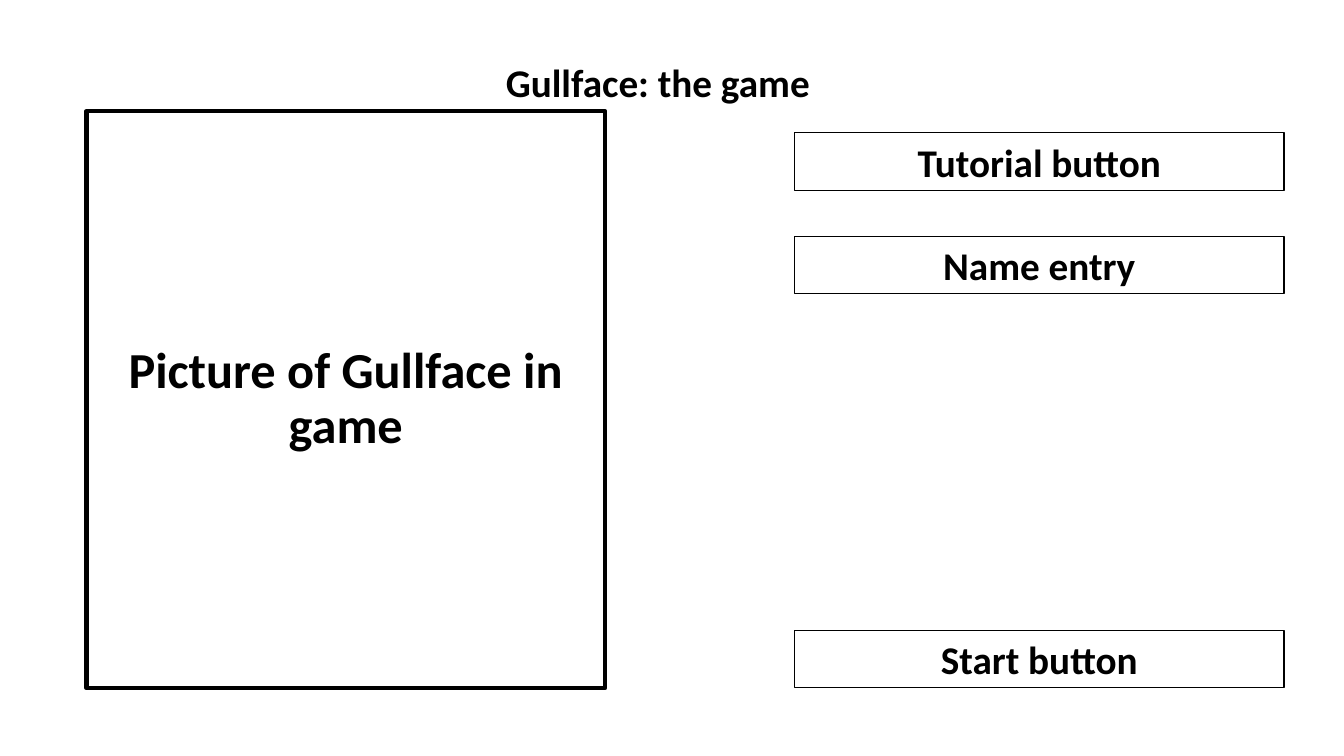
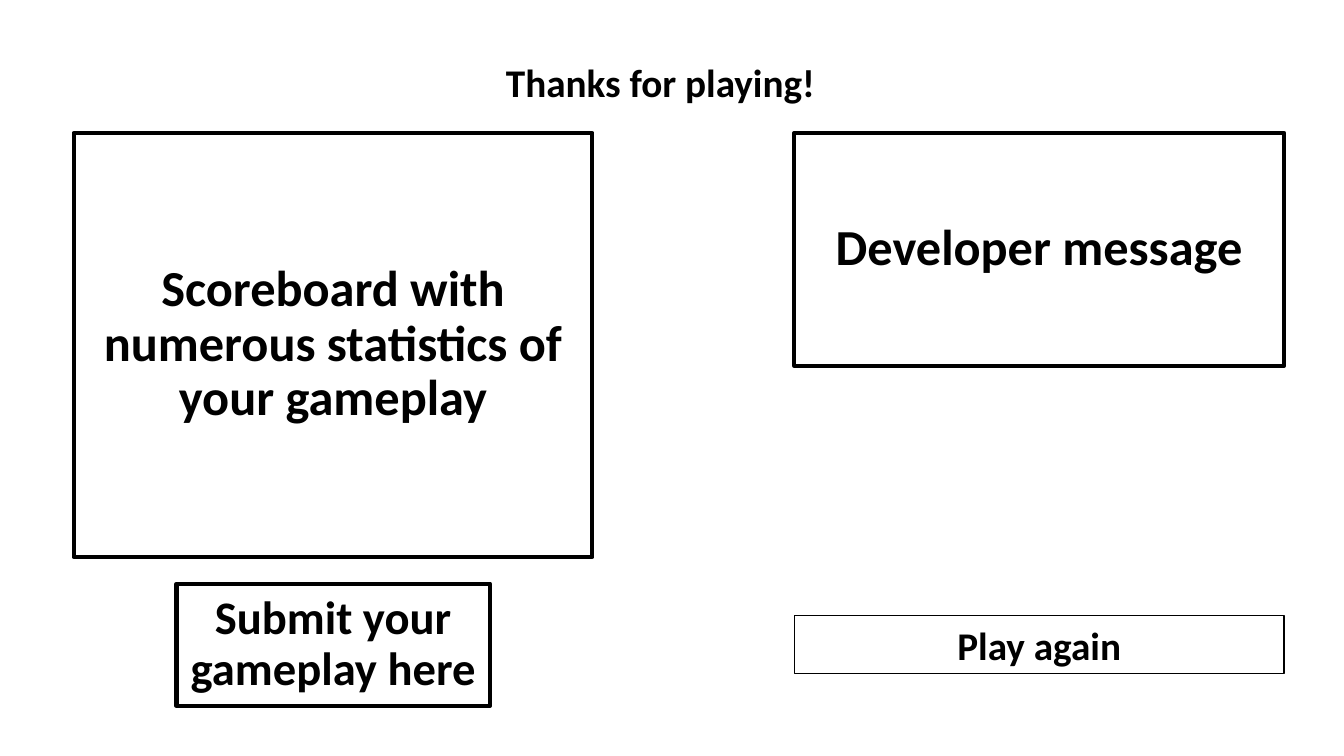
from pptx import Presentation
from pptx import util as u
from pptx.dml import color
from pptx.enum import shapes, text

COLORS = {"ink": "000000", "paper": "FFFFFF"}
FONT = "Calibri"
TITLE_BOX = (12.5, 1.35, 8.89, 1.45)
RIGHT, RIGHT_WIDTH = 20.02, 12.34
BUTTON_HEIGHT = 1.45
TOP = 3.35


def rgb(name):
    """Return a palette colour."""
    return color.RGBColor.from_string(COLORS[name])


def write(sp, words, size, align, spacing=1.0):
    """Write one bold paragraph in a shape."""
    tf = sp.text_frame
    tf.word_wrap = True
    p = tf.paragraphs[0]
    p.alignment = align
    p.line_spacing = spacing
    r = p.add_run()
    r.text = words
    r.font.name = FONT
    r.font.size = u.Pt(size)
    r.font.bold = True
    r.font.color.rgb = rgb("ink")
    return tf


def outline(s, box, weight):
    """Add an unfilled rectangle; box is left, top, width, height in cm."""
    sp = s.shapes.add_shape(shapes.MSO_SHAPE.RECTANGLE, *map(u.Cm, box))
    sp.shadow.inherit = False
    sp.fill.background()
    sp.line.color.rgb = rgb("ink")
    sp.line.width = u.Pt(weight)
    return sp


def button(s, top, words):
    """Add a thin button in the right column."""
    sp = outline(s, (RIGHT, top, RIGHT_WIDTH, BUTTON_HEIGHT), 0.75)
    tf = write(sp, words, 28, text.PP_ALIGN.CENTER)
    tf.vertical_anchor = text.MSO_ANCHOR.TOP


def panel(s, box, words, size=36):
    """Add a heavy panel with centred words."""
    tf = write(outline(s, box, 3), words, size, text.PP_ALIGN.CENTER, 0.9)
    tf.vertical_anchor = text.MSO_ANCHOR.MIDDLE


def screen(prs, title):
    """Add a blank slide with the shared background and title."""
    s = prs.slides.add_slide(prs.slide_layouts[6])
    s.background.fill.solid()
    s.background.fill.fore_color.rgb = rgb("paper")
    sp = s.shapes.add_textbox(*map(u.Cm, TITLE_BOX))
    write(sp, title, 28, text.PP_ALIGN.LEFT)
    return s


def start_screen(prs):
    """Build the screen shown before the game."""
    s = screen(prs, "Gullface: the game")
    panel(s, (2.18, 2.8, 13.07, 14.54), "Picture of Gullface in game")
    for top, words in ((TOP, "Tutorial button"), (5.95, "Name entry"),
                       (15.88, "Start button")):
        button(s, top, words)


def end_screen(prs):
    """Build the screen shown after the game."""
    s = screen(prs, "Thanks for playing!")
    panel(s, (4.45, 14.71, 7.9, 3.08), "Submit your gameplay here", 33.3)
    button(s, 15.52, "Play again")
    panel(s, (1.86, TOP, 13.07, 10.69),
          "Scoreboard with numerous statistics of your gameplay")
    panel(s, (RIGHT, TOP, RIGHT_WIDTH, 5.87), "Developer message")


prs = Presentation()
prs.slide_width, prs.slide_height = u.Cm(33.87), u.Cm(19.05)
start_screen(prs)
end_screen(prs)
prs.save("out.pptx")
